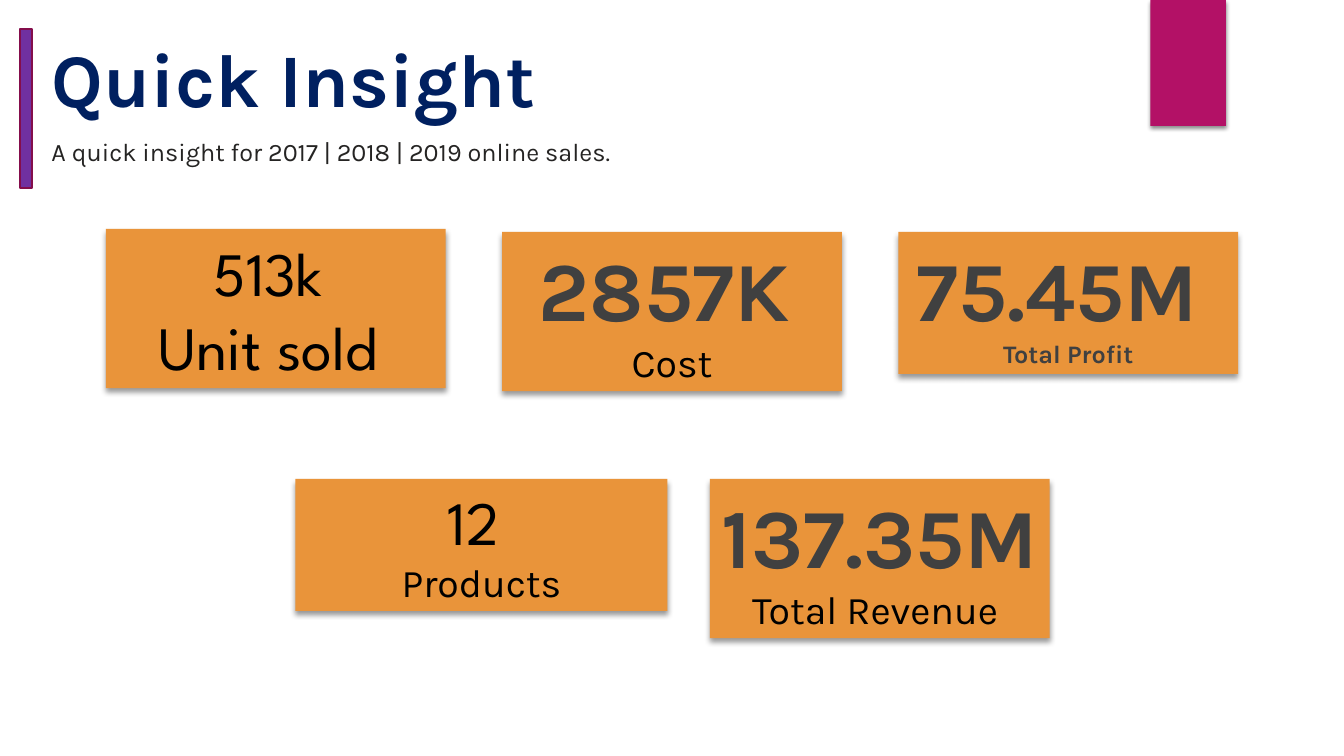
from collections import namedtuple

from lxml.etree import SubElement
from pptx import Presentation
from pptx.dml.color import RGBColor
from pptx.enum.shapes import MSO_SHAPE
from pptx.enum.text import MSO_ANCHOR, PP_ALIGN
from pptx.oxml.ns import qn
from pptx.util import Emu, Pt

PX = 9144  # EMU per px, 100 px to the inch

WHITE = RGBColor(0xFF, 0xFF, 0xFF)
BLACK = RGBColor(0x00, 0x00, 0x00)
GREY = RGBColor(0x40, 0x40, 0x40)
INK = RGBColor(0x25, 0x24, 0x23)
NAVY = RGBColor(0x00, 0x20, 0x60)
MAGENTA = RGBColor(0xB3, 0x11, 0x66)
PURPLE = RGBColor(0x70, 0x30, 0xA0)
PLUM = RGBColor(0x84, 0x0D, 0x4B)
ORANGE = RGBColor(0xE9, 0x94, 0x3A)

Style = namedtuple("Style", "size font color bold")
TITLE = Style(54, "Karla", NAVY, True)
SUBTITLE = Style(18, "Karla", INK, False)
FIGURE = Style(44, "League Spartan", BLACK, False)
BIG_FIGURE = Style(60, "Karla", GREY, True)
LABEL = Style(28, "Karla", BLACK, False)
SMALL_LABEL = Style(18, "Karla", GREY, True)

CARD_WIDTH = 337
UPPER_LEFT, UPPER_PITCH = 105, 393
LOWER_TOP = 475


def px(*lengths):
    return [Emu(length * PX) for length in lengths]


def format_run(run, style):
    run.font.size = Pt(style.size)
    run.font.name = style.font
    run.font.color.rgb = style.color
    run.font.bold = style.bold


def add_heading(slide, box, text, style):
    text_frame = slide.shapes.add_textbox(*px(*box)).text_frame
    text_frame.word_wrap = True
    text_frame.margin_left = text_frame.margin_right = 0
    text_frame.margin_top = text_frame.margin_bottom = 0
    text_frame.vertical_anchor = MSO_ANCHOR.MIDDLE
    text_frame.text = text
    format_run(text_frame.paragraphs[0].runs[0], style)


def add_filled_shape(slide, kind, box, color):
    shape = slide.shapes.add_shape(kind, *px(*box))
    shape.shadow.inherit = False
    shape.fill.solid()
    shape.fill.fore_color.rgb = color
    shape.line.fill.background()
    return shape


def add_drop_shadow(shape, opacity, blur, distance):
    """Cast a black shadow straight down; opacity in percent, lengths in points."""
    effects = shape._element.spPr.find(qn("a:effectLst"))
    shadow = SubElement(effects, qn("a:outerShdw"), blurRad=str(Pt(blur)),
                        dist=str(Pt(distance)), dir="5400000", rotWithShape="0")
    color = SubElement(shadow, qn("a:srgbClr"), val=str(BLACK))
    SubElement(color, qn("a:alpha"), val=str(opacity * 1000))


def add_card(slide, box, *lines):
    """Add an orange card; each line is a list of (text, style) runs."""
    card = add_filled_shape(slide, MSO_SHAPE.RECTANGLE, box, ORANGE)
    add_drop_shadow(card, 40, 4, 3)
    text_frame = card.text_frame
    text_frame.word_wrap = True
    text_frame.vertical_anchor = MSO_ANCHOR.MIDDLE
    for index, line in enumerate(lines):
        paragraph = text_frame.add_paragraph() if index else text_frame.paragraphs[0]
        paragraph.alignment = PP_ALIGN.CENTER
        for text, style in line:
            run = paragraph.add_run()
            run.text = text
            format_run(run, style)


def main():
    presentation = Presentation()
    presentation.slide_width, presentation.slide_height = px(1333, 750)
    slide = presentation.slides.add_slide(presentation.slide_layouts[6])
    slide.background.fill.solid()
    slide.background.fill.fore_color.rgb = WHITE

    ribbon = add_filled_shape(slide, MSO_SHAPE.RECTANGLE, (1141, 0, 75, 125), MAGENTA)
    add_drop_shadow(ribbon, 45, 3, 2)

    add_heading(slide, (51, 31, 1089, 91), "Quick Insight", TITLE)
    title_bar = add_filled_shape(slide, MSO_SHAPE.MATH_MINUS, (-82, 82, 215, 51), PURPLE)
    title_bar.rotation = 90
    title_bar.line.color.rgb = PLUM
    title_bar.line.width = Pt(1.5)
    add_heading(slide, (51, 105, 1224, 91),
                "A quick insight for 2017 | 2018 | 2019 online sales.", SUBTITLE)

    units_left, cost_left, profit_left = (UPPER_LEFT + UPPER_PITCH * i for i in range(3))
    add_card(slide, (units_left, 227, CARD_WIDTH, 158),
             [("513k ", FIGURE)], [("Unit sold ", FIGURE)])
    add_card(slide, (cost_left, 230, CARD_WIDTH, 158),
             [("2857K", BIG_FIGURE), (" ", FIGURE)], [("Cost", LABEL)])
    add_card(slide, (profit_left, 230, CARD_WIDTH, 141),
             [("75.45M ", BIG_FIGURE)], [("Total Profit", SMALL_LABEL)])
    add_card(slide, (293, LOWER_TOP, 369, 131),
             [("12 ", FIGURE)], [("Products", LABEL)])
    add_card(slide, (704, LOWER_TOP, CARD_WIDTH, 158),
             [("137.35M", BIG_FIGURE), (" ", FIGURE)], [("Total Revenue ", LABEL)])

    presentation.save("out.pptx")


if __name__ == "__main__":
    main()
